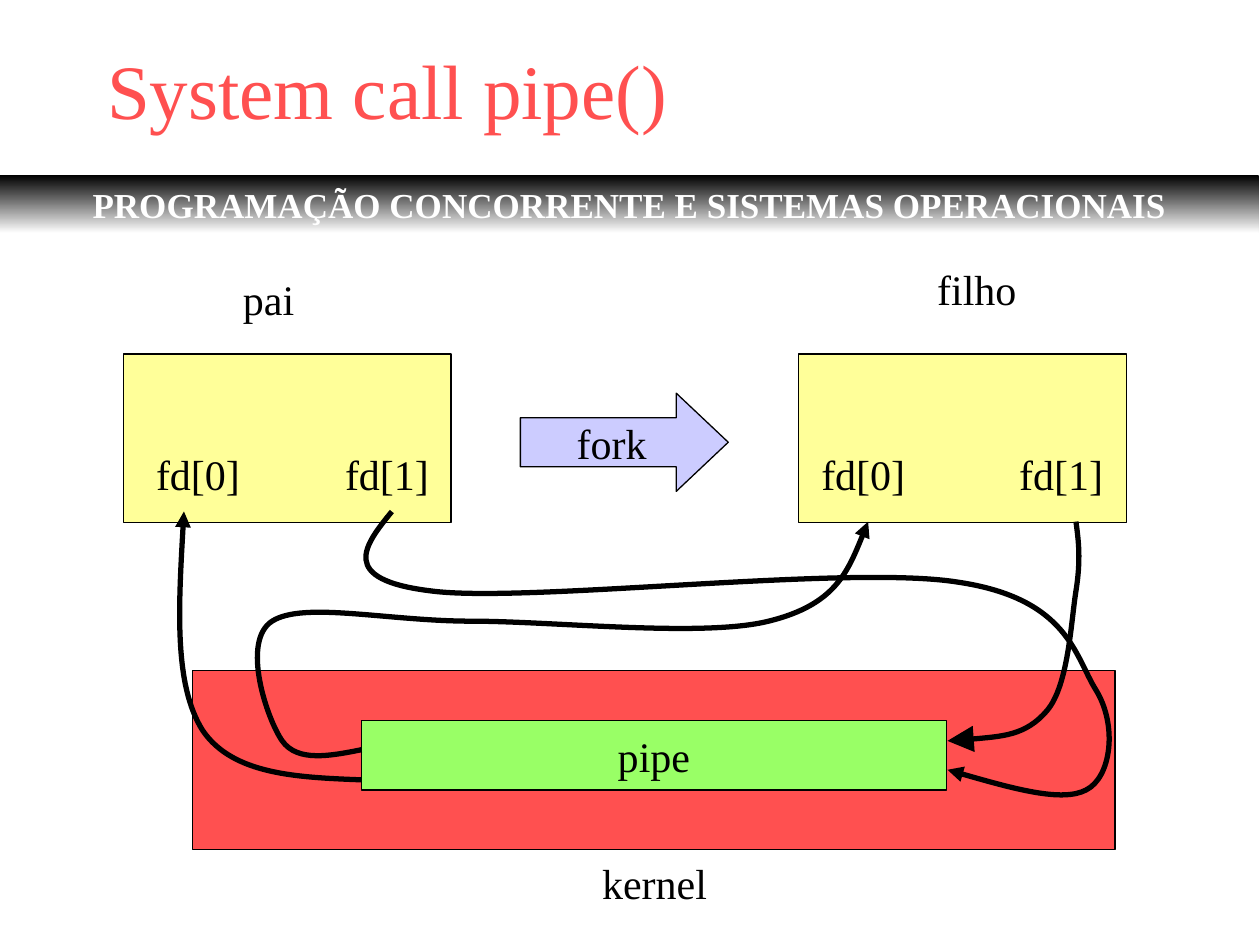
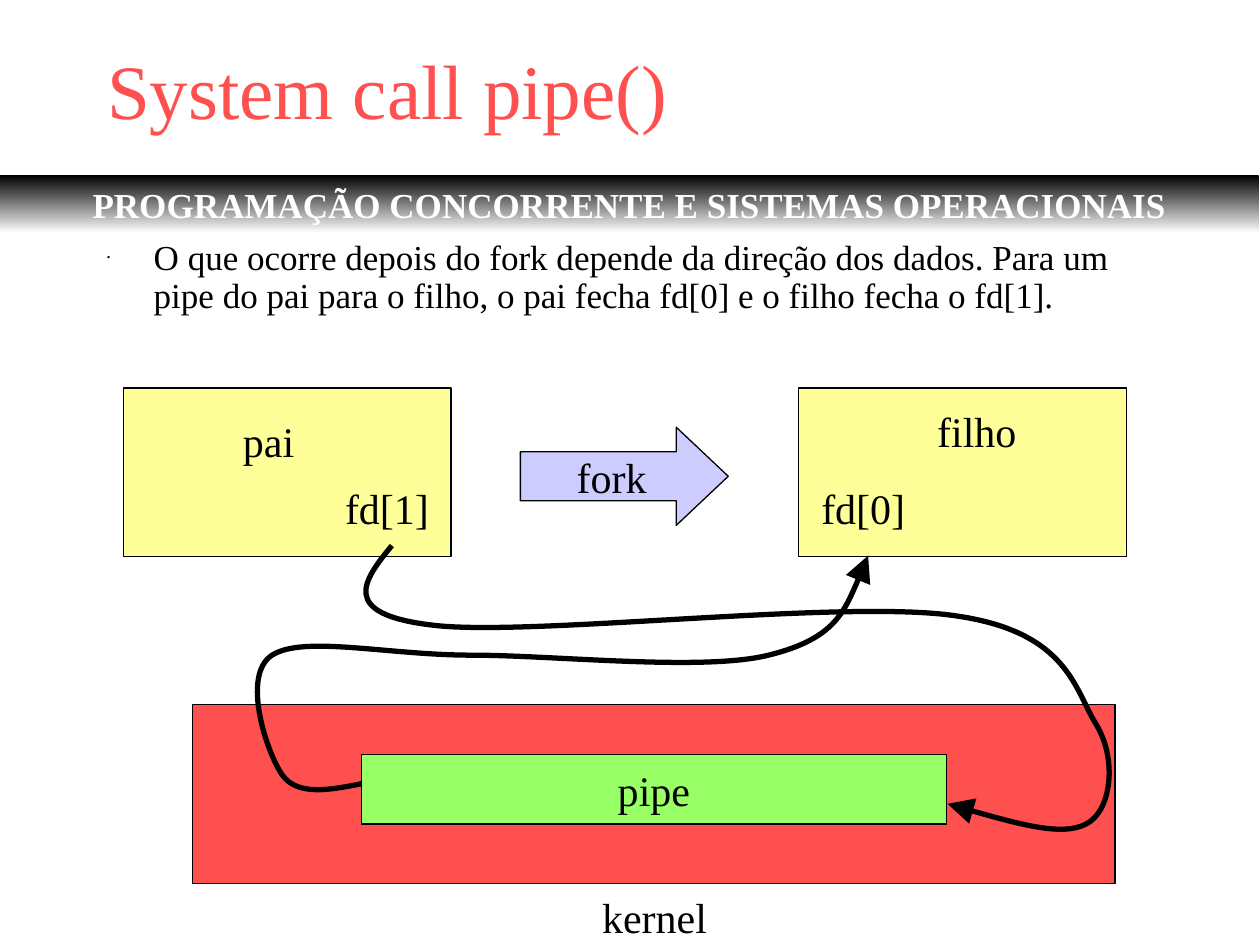
from dataclasses import dataclass

from lxml import etree
from pptx import Presentation
from pptx.dml.color import RGBColor
from pptx.enum.shapes import MSO_SHAPE as Preset
from pptx.enum.text import MSO_ANCHOR as Anchor
from pptx.enum.text import MSO_AUTO_SIZE as AutoSize
from pptx.enum.text import PP_ALIGN as Align
from pptx.oxml.ns import qn
from pptx.util import Inches, Pt


@dataclass(frozen=True)
class Theme:
    font: str = "Times New Roman"
    black: str = "000000"
    white: str = "FFFFFF"
    red: str = "FF5050"
    process: str = "FFFF99"
    fork: str = "CCCCFF"
    pipe: str = "99FF66"
    title_size: float = 44
    label_size: float = 24
    body_size: float = 20
    outline: float = 0.75
    flow: float = 3


THEME = Theme()
TITLE = "System call pipe()"
COURSE = "PROGRAMAÇÃO CONCORRENTE E SISTEMAS OPERACIONAIS"
TITLE_BOX = (0.75, 0.08, 8.5, 1.25)
BAND_BOX = (0, 1.39, 9.99, 0.46)
BODY_BOX = (0.75, 1.86, 8.5, 0.73)

PROCESS_LEFTS = (0.98, 6.34)
PROCESS_TOP, PROCESS_WIDTH, PROCESS_HEIGHT = 2.81, 2.6, 1.34
FORK_BOX = (4.13, 3.12, 1.65, 0.78)
KERNEL_BOX = (1.53, 5.32, 7.32, 1.42)
PIPE_BOX = (2.87, 5.72, 4.64, 0.55)
LABEL_HEIGHT = 0.5
FORK_LABEL = ("fork", 4.48, 3.26, 0.75)
KERNEL_LABEL = ("kernel", 4.68, 6.76, 1.03)

DESCRIPTORS = {
    "parent read": ("fd[0]", 1.14, 3.51, 0.86),
    "parent write": ("fd[1]", 2.64, 3.51, 0.86),
    "child read": ("fd[0]", 6.42, 3.51, 0.86),
    "child write": ("fd[1]", 7.99, 3.51, 0.86),
}
FLOWS = {
    "parent read": [
        (2.87, 6.19),
        (2.36, 6.17), (1.85, 6.15), (1.61, 5.8),
        (1.38, 5.44), (1.42, 4.75), (1.46, 4.06),
    ],
    "parent write": [
        (3.11, 4.06),
        (2.89, 4.33), (2.68, 4.6), (3.42, 4.69),
        (4.17, 4.79), (6.72, 4.48), (7.6, 4.62),
        (8.48, 4.75), (8.53, 5.21), (8.7, 5.48),
        (8.87, 5.76), (8.82, 6.17), (8.62, 6.27),
        (8.43, 6.37), (7.97, 6.24), (7.52, 6.11),
    ],
    "child read": [
        (2.87, 5.95),
        (2.62, 6), (2.36, 6.05), (2.24, 5.88),
        (2.12, 5.71), (1.91, 5.09), (2.16, 4.93),
        (2.41, 4.77), (3.08, 4.93), (3.74, 4.93),
        (4.4, 4.93), (5.58, 5.06), (6.1, 4.93),
        (6.63, 4.8), (6.76, 4.47), (6.89, 4.14),
    ],
    "child write": [
        (8.54, 4.14),
        (8.56, 4.29), (8.58, 4.44), (8.54, 4.69),
        (8.5, 4.94), (8.48, 5.44), (8.31, 5.64),
        (8.14, 5.84), (7.83, 5.86), (7.52, 5.88),
    ],
}

SLIDES = [
    {
        "body": None,
        "drop": 0,
        "names": [("pai", 1.83, 2.12, 0.6), ("filho", 7.34, 2.04, 0.83)],
        "heads": {"parent read": "med", "parent write": "med",
                  "child read": "med", "child write": "lg"},
    },
    {
        "body": "O que ocorre depois do fork depende da direção dos dados. "
                "Para um pipe do pai para o filho, o pai fecha fd[0] e o filho fecha o fd[1].",
        "drop": 0.27,
        "names": [("pai", 1.83, 3.25, 0.6), ("filho", 7.34, 3.17, 0.83)],
        "heads": {"parent write": "lg", "child read": "lg"},
    },
]


def color(value):
    return RGBColor.from_string(value)


def place(shape, box):
    shape.left, shape.top, shape.width, shape.height = map(Inches, box)


def lower(box, drop):
    left, top, width, height = box
    return left, top + drop, width, height


def write(shape, text, size=THEME.label_size, ink=THEME.black, bold=False,
          align=Align.LEFT, anchor=Anchor.TOP, wrap=False, bullet=False):
    frame = shape.text_frame
    frame.auto_size = AutoSize.NONE
    frame.word_wrap = wrap
    frame.vertical_anchor = anchor
    frame.text = text
    paragraph = frame.paragraphs[0]
    paragraph.alignment = align
    if bullet:
        properties = paragraph._p.get_or_add_pPr()
        properties.set("marL", str(Inches(0.37)))
        properties.set("indent", str(-Inches(0.37)))
        etree.SubElement(properties, qn("a:buSzPct")).set("val", "25000")
        etree.SubElement(properties, qn("a:buChar")).set("char", "•")
        paragraph.line_spacing = 0.9
        paragraph.space_before = Pt(0)
    font = paragraph.runs[0].font
    font.name, font.size, font.bold = THEME.font, Pt(size), bold
    font.color.rgb = color(ink)


def add_label(slide, text, left, top, width, **style):
    box = slide.shapes.add_textbox(*map(Inches, (left, top, width, LABEL_HEIGHT)))
    write(box, text, **style)


def add_block(slide, box, fill, preset=Preset.RECTANGLE):
    shape = slide.shapes.add_shape(preset, *map(Inches, box))
    shape.shadow.inherit = False
    shape.fill.solid()
    shape.fill.fore_color.rgb = color(fill)
    shape.line.color.rgb = color(THEME.black)
    shape.line.width = Pt(THEME.outline)
    return shape


def add_flow(slide, points, head, drop):
    start, *controls = [(Inches(x), Inches(y + drop)) for x, y in points]
    builder = slide.shapes.build_freeform(*start)
    builder.add_line_segments(controls, close=False)
    shape = builder.convert_to_shape()
    outline = shape.element.find(".//" + qn("a:path"))
    segments = outline.findall(qn("a:lnTo"))
    for first in range(0, len(segments), 3):
        curve = etree.SubElement(outline, qn("a:cubicBezTo"))
        for segment in segments[first:first + 3]:
            curve.append(segment[0])
            outline.remove(segment)
    shape.shadow.inherit = False
    shape.fill.background()
    shape.line.color.rgb = color(THEME.black)
    shape.line.width = Pt(THEME.flow)
    tail = etree.SubElement(shape.element.spPr.find(qn("a:ln")), qn("a:tailEnd"))
    for name, value in (("type", "triangle"), ("w", head), ("len", head)):
        tail.set(name, value)


def move_band_to_master(presentation, slide):
    band = add_block(slide, BAND_BOX, THEME.black)
    band.line.fill.background()
    band.fill.gradient()
    band.fill.gradient_angle = 270
    for stop, shade in zip(band.fill.gradient_stops, (THEME.black, THEME.white)):
        stop.color.rgb = color(shade)
    write(band, COURSE, size=THEME.body_size, ink=THEME.white, bold=True,
          align=Align.CENTER, anchor=Anchor.MIDDLE)
    band.element.nvSpPr.cNvPr.id = 100
    presentation.slide_master.shapes.element.append(band.element)


def add_diagram(slide, content):
    drop = content["drop"]
    for left in PROCESS_LEFTS:
        box = (left, PROCESS_TOP, PROCESS_WIDTH, PROCESS_HEIGHT)
        add_block(slide, lower(box, drop), THEME.process)
    for name in content["names"]:
        add_label(slide, *name)

    arrow = add_block(slide, lower(FORK_BOX, drop), THEME.fork, Preset.RIGHT_ARROW)
    arrow.adjustments[0], arrow.adjustments[1] = 0.5, 0.53
    text, left, top, width = FORK_LABEL
    add_label(slide, text, left, top + drop, width,
              align=Align.CENTER, anchor=Anchor.MIDDLE)

    add_block(slide, lower(KERNEL_BOX, drop), THEME.red)
    pipe = add_block(slide, lower(PIPE_BOX, drop), THEME.pipe)
    write(pipe, "pipe", align=Align.CENTER, anchor=Anchor.MIDDLE)

    descriptors = [DESCRIPTORS[end] for end in content["heads"]]
    for text, left, top, width in [*descriptors, KERNEL_LABEL]:
        add_label(slide, text, left, top + drop, width)
    for end, head in content["heads"].items():
        add_flow(slide, FLOWS[end], head, drop)


def add_slide(presentation, content):
    layout = "Title and Content" if content["body"] else "Title Only"
    slide = presentation.slides.add_slide(presentation.slide_layouts.get_by_name(layout))
    title = slide.shapes.title
    place(title, TITLE_BOX)
    write(title, TITLE, size=THEME.title_size, ink=THEME.red,
          anchor=Anchor.MIDDLE, wrap=True)
    if content["body"]:
        body = slide.placeholders[1]
        place(body, BODY_BOX)
        write(body, content["body"], size=THEME.body_size, wrap=True, bullet=True)
    add_diagram(slide, content)
    return slide


def main():
    presentation = Presentation()
    presentation.slide_width, presentation.slide_height = Inches(10), Inches(7.5)
    slides = [add_slide(presentation, content) for content in SLIDES]
    move_band_to_master(presentation, slides[0])
    presentation.save("out.pptx")


if __name__ == "__main__":
    main()
